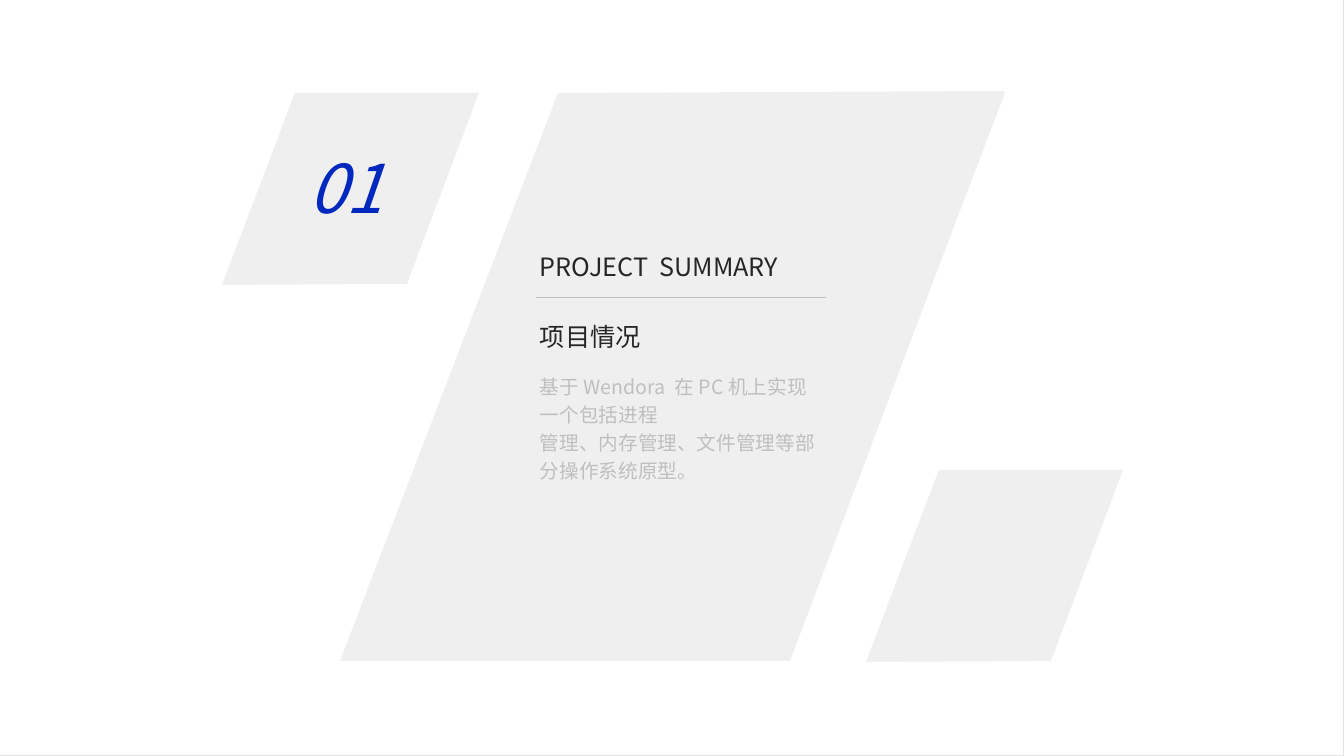
from dataclasses import dataclass

from lxml import etree
from pptx import Presentation
from pptx.dml.color import RGBColor
from pptx.enum.shapes import MSO_CONNECTOR, MSO_SHAPE
from pptx.enum.text import PP_ALIGN
from pptx.oxml.ns import qn
from pptx.util import Pt

LEFT, CENTER = PP_ALIGN.LEFT, PP_ALIGN.CENTER
RECTANGLE, STRAIGHT = MSO_SHAPE.RECTANGLE, MSO_CONNECTOR.STRAIGHT

WIDTH, HEIGHT = 1344, 756
SCALE = 12192000 / WIDTH


@dataclass(frozen=True)
class Theme:
    font: str = "Noto Sans CJK SC"
    backdrop: str = "E4E4E4"
    page: str = "FFFFFF"
    panel: str = "EFEFEF"
    accent: str = "0028BE"
    ink: str = "262626"
    muted: str = "BFBFBF"
    number_size: int = 48
    title_size: int = 18
    body_size: int = 14


def px(length):
    return round(length * SCALE)


def rgb(color):
    return RGBColor.from_string(color)


def write(frame, text, *, font, size, color, italic=False, align=LEFT,
          line_spacing=1.0, gap=0):
    """Fill a text frame, one paragraph per line, with gap points between."""
    frame.word_wrap = True
    frame.text = text
    for index, paragraph in enumerate(frame.paragraphs):
        paragraph.alignment = align
        paragraph.line_spacing = line_spacing
        paragraph.space_before = Pt(gap if index else 0)
        for run in paragraph.runs:
            run.font.name = font
            run.font.size = Pt(size)
            run.font.italic = italic
            run.font.color.rgb = rgb(color)
            east_asian = etree.SubElement(run.font._element, qn("a:ea"))
            east_asian.set("typeface", font)


class SlideBuilder:
    def __init__(self, slide, theme):
        self.slide = slide
        self.theme = theme

    def background(self, color):
        fill = self.slide.background.fill
        fill.solid()
        fill.fore_color.rgb = rgb(color)

    def paint(self, shape, color):
        shape.fill.solid()
        shape.fill.fore_color.rgb = rgb(color)
        shape.line.fill.background()
        shape.shadow.inherit = False

    def rectangle(self, x, y, width, height, color):
        shape = self.slide.shapes.add_shape(
            RECTANGLE, px(x), px(y), px(width), px(height))
        self.paint(shape, color)

    def polygon(self, points, color):
        start, *others = points
        outline = self.slide.shapes.build_freeform(*start, scale=SCALE)
        outline.add_line_segments(others, close=True)
        self.paint(outline.convert_to_shape(), color)

    def rule(self, x1, x2, y, color):
        line = self.slide.shapes.add_connector(
            STRAIGHT, px(x1), px(y), px(x2), px(y))
        line.line.color.rgb = rgb(color)
        line.line.width = Pt(0.5)
        etree.SubElement(line._element.spPr, qn("a:effectLst"))

    def text(self, x, y, width, height, text, **style):
        box = self.slide.shapes.add_textbox(
            px(x), px(y), px(width), px(height))
        write(box.text_frame, text, font=self.theme.font, **style)


def main():
    deck = Presentation()
    deck.slide_width, deck.slide_height = px(WIDTH), px(HEIGHT)
    theme = Theme()
    section = SlideBuilder(
        deck.slides.add_slide(deck.slide_layouts[6]), theme)

    # White page over the grey backdrop
    section.background(theme.backdrop)
    section.rectangle(-1, -1, WIDTH, HEIGHT, theme.page)

    # Small slanted panels, one at each end
    small_panel = [(222, 285), (295, 93), (479, 93), (407, 284)]
    for dx, dy in [(0, 0), (644, 377)]:
        section.polygon([(x + dx, y + dy) for x, y in small_panel],
                        theme.panel)

    # Large slanted panel with its right half
    section.polygon([(340, 661), (558, 93), (1005, 91), (790, 661)],
                    theme.panel)
    section.polygon([(603, 661), (823, 93), (1005, 93), (787, 661)],
                    theme.panel)

    # Section heading and summary
    section.text(530, 240, 307, 111, "PROJECT  SUMMARY\n项目情况",
                 size=theme.title_size, color=theme.ink,
                 line_spacing=1.2, gap=24)
    section.rule(536, 826, 297, theme.muted)
    section.text(530, 365, 296, 124,
                 "基于 Wendora  在 PC 机上实现一个包括进程\n"
                 "管理、内存管理、文件管理等部分操作系统原型。",
                 size=theme.body_size, color=theme.muted, line_spacing=1.2)

    # Section number
    section.text(284, 141, 124, 95, "01", size=theme.number_size,
                 color=theme.accent, italic=True, align=CENTER)

    deck.save("out.pptx")


if __name__ == "__main__":
    main()
